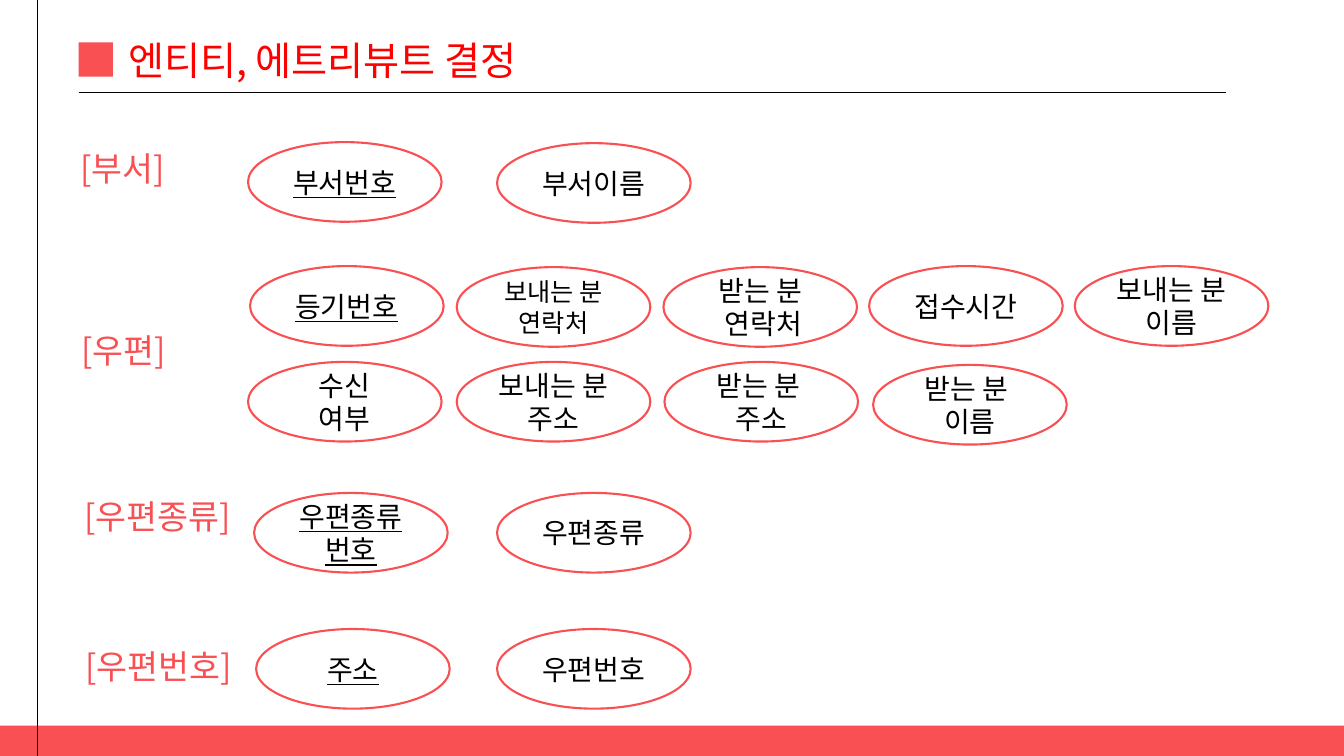
from lxml import etree
from pptx import Presentation
from pptx.dml.color import RGBColor
from pptx.enum.shapes import MSO_CONNECTOR, MSO_SHAPE
from pptx.enum.text import MSO_ANCHOR, PP_ALIGN
from pptx.oxml.ns import qn
from pptx.util import Inches, Pt

CORAL = RGBColor(0xF9, 0x50, 0x54)
RED = RGBColor(0xFF, 0x00, 0x00)
BLACK = RGBColor(0x00, 0x00, 0x00)
FONT = "Noto Sans CJK KR"
OVAL_W, OVAL_H = Inches(1.92), Inches(0.79)

# Entity label, its left and top, then its attributes: text, left, top.
# The first attribute of each entity is its key.
ENTITIES = [
    ("[부서]", 0.7, 1.42, [("부서번호", 2.46, 1.41), ("부서이름", 4.93, 1.42)]),
    ("[우편]", 0.71, 3.22, [
        ("등기번호", 2.48, 2.64), ("보내는 분 연락처", 4.53, 2.65),
        ("받는 분\n 연락처", 6.58, 2.65), ("접수시간", 8.62, 2.64),
        ("보내는 분 이름", 10.66, 2.64), ("수신\n여부", 2.46, 3.59),
        ("보내는 분 주소", 4.53, 3.59), ("받는 분 \n주소", 6.59, 3.59),
        ("받는 분 \n이름", 8.66, 3.62)]),
    ("[우편종류]", 0.74, 4.87, [("우편종류\n번호", 2.52, 4.89), ("우편종류", 4.93, 4.89)]),
    ("[우편번호]", 0.75, 6.36, [("주소", 2.54, 6.24), ("우편번호", 4.93, 6.24)]),
]
SMALL_TEXT = "보내는 분 연락처"


def write(shape, text, size, color, align=PP_ALIGN.LEFT, anchor=MSO_ANCHOR.TOP, underline=None):
    """Fill a shape with text, one paragraph per line, in the Korean font."""
    tf = shape.text_frame
    tf.word_wrap = True
    tf.vertical_anchor = anchor
    tf.text = text
    for p in tf.paragraphs:
        p.alignment = align
        for r in p.runs:
            r.font.size = Pt(size)
            r.font.color.rgb = color
            r.font.underline = underline
            r.font.name = FONT
            etree.SubElement(r.font._element, qn("a:ea"), typeface=FONT)


prs = Presentation()
prs.slide_width, prs.slide_height = Inches(13.33), Inches(7.5)
s = prs.slides.add_slide(prs.slide_layouts[5])

# Footer bar and title marker
for x, y, w, h in [(0, 7.2, 13.33, 0.3), (0.78, 0.42, 0.34, 0.34)]:
    sp = s.shapes.add_shape(MSO_SHAPE.RECTANGLE, Inches(x), Inches(y), Inches(w), Inches(h))
    sp.shadow.inherit = False
    sp.fill.solid()
    sp.fill.fore_color.rgb = CORAL
    sp.line.fill.background()

# Margin line and title rule
for x1, y1, x2, y2 in [(0.37, 0, 0.37, 7.5), (0.78, 0.92, 12.16, 0.92)]:
    rule = s.shapes.add_connector(MSO_CONNECTOR.STRAIGHT, Inches(x1), Inches(y1),
                                  Inches(x2), Inches(y2))
    rule.line.color.rgb = BLACK
    rule.line.width = Pt(1)
    etree.SubElement(rule._element.spPr, qn("a:effectLst"))

title = s.shapes.title
title.left, title.top = Inches(1.17), Inches(0.31)
title.width, title.height = Inches(4.91), Inches(0.57)
write(title, "엔티티, 에트리뷰트 결정", 28, RED)

for label, label_x, label_y, attributes in ENTITIES:
    box = s.shapes.add_textbox(Inches(label_x), Inches(label_y), Inches(3.54), Inches(0.84))
    write(box, label, 24, CORAL)
    for i, (text, x, y) in enumerate(attributes):
        oval = s.shapes.add_shape(MSO_SHAPE.OVAL, Inches(x), Inches(y), OVAL_W, OVAL_H)
        oval.shadow.inherit = False
        oval.fill.background()
        oval.line.color.rgb = CORAL
        oval.line.width = Pt(1.5)
        write(oval, text, 18 if text == SMALL_TEXT else 20, BLACK,
              PP_ALIGN.CENTER, MSO_ANCHOR.MIDDLE, underline=True if i == 0 else None)

prs.save("out.pptx")
